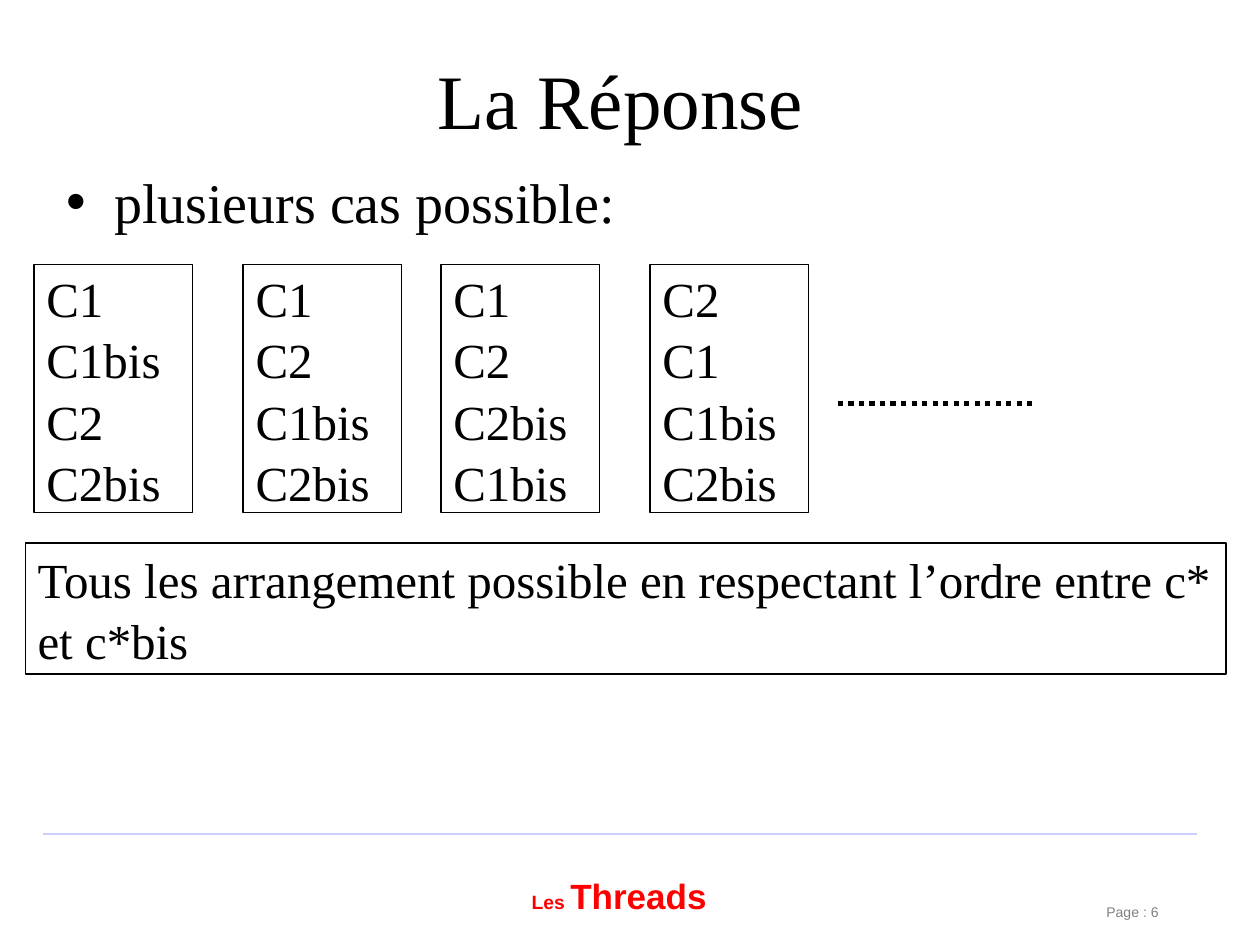
from pptx import Presentation
from pptx import util as u
from pptx.dml.color import RGBColor
from pptx.enum import dml, shapes, text
from pptx.oxml.ns import qn
from lxml import etree

BLACK = RGBColor(0, 0, 0)
RED = RGBColor(255, 0, 0)
GREY = RGBColor(128, 128, 128)
LILAC = RGBColor(0xCC, 0xCC, 0xFF)
SERIF, SANS = "Times New Roman", "Arial"


class Deck:
    def __init__(self):
        self.prs = Presentation()
        self.prs.slide_width, self.prs.slide_height = u.Inches(10), u.Inches(7.5)
        self.slide = self.prs.slides.add_slide(self.prs.slide_layouts[1])

    def place(self, shape, at):
        names = ("left", "top", "width", "height")
        for name, size in zip(names, at):
            setattr(shape, name, u.Inches(size))

    def frame(self, shape, **extra):
        form = dict(word_wrap=True, auto_size=text.MSO_AUTO_SIZE.NONE,
                    margin_left=u.Inches(0.1), margin_right=u.Inches(0.1),
                    margin_top=u.Inches(0.05), margin_bottom=u.Inches(0.05))
        form.update(extra)
        for name, value in form.items():
            setattr(shape.text_frame, name, value)
        return shape.text_frame

    def run(self, para, words, size, color=BLACK, face=SERIF, bold=False):
        run = para.add_run()
        run.text = words
        for name, value in dict(size=u.Pt(size), name=face, bold=bold).items():
            setattr(run.font, name, value)
        run.font.color.rgb = color

    def holder(self, index, at, words, size, inset, align):
        shape = self.slide.placeholders[index]
        self.place(shape, at)
        frame = self.frame(shape, margin_top=u.Inches(inset),
                           vertical_anchor=text.MSO_ANCHOR.TOP)
        para = frame.paragraphs[0]
        para.alignment, para.space_before = align, u.Pt(0)
        self.run(para, words, size)

    def box(self, at, rows):
        shape = self.slide.shapes.add_shape(
            shapes.MSO_SHAPE.RECTANGLE, *map(u.Inches, at))
        shape.shadow.inherit = False
        shape.fill.background()
        shape.line.color.rgb, shape.line.width = BLACK, u.Pt(0.75)
        frame = self.frame(shape, vertical_anchor=text.MSO_ANCHOR.MIDDLE)
        for i, row in enumerate(rows):
            para = frame.add_paragraph() if i else frame.paragraphs[0]
            para.alignment, para.line_spacing = text.PP_ALIGN.LEFT, 1.04
            self.run(para, row, 28)

    def label(self, at, parts, wrap=True, **font):
        """Write one line made of (words, size) parts."""
        shape = self.slide.shapes.add_textbox(*map(u.Inches, at))
        frame = self.frame(shape, word_wrap=wrap, margin_left=u.Inches(0.09),
                           margin_right=u.Inches(0.09))
        for words, size in parts:
            self.run(frame.paragraphs[0], words, size, face=SANS, **font)

    def rule(self, left, right, y, color, width, dash=None):
        line = self.slide.shapes.add_connector(
            shapes.MSO_CONNECTOR.STRAIGHT, *map(u.Inches, (left, y, right, y)))
        line.line.color.rgb, line.line.width = color, u.Pt(width)
        if dash:
            line.line.dash_style = dash
        etree.SubElement(line._element.spPr, qn("a:effectLst"))


def main():
    deck = Deck()
    deck.rule(0.34, 9.5, 6.62, LILAC, 1)
    deck.label((8.69, 7.12, 0.81, 0.22), [("Page : 6", 8)], color=GREY)
    deck.label((4.13, 6.89, 1.57, 0.42), [("Les ", 11), ("Threads", 20)],
               wrap=False, color=RED, bold=True)

    deck.holder(0, (0.5, 0.3, 9, 1.25), "La Réponse ", 44, 0.12,
                text.PP_ALIGN.CENTER)
    deck.holder(1, (0.43, 1.23, 9, 5.35), "plusieurs cas possible:", 32, 0.1,
                text.PP_ALIGN.LEFT)

    cases = {0.27: "C1 C1bis C2 C2bis", 1.93: "C1 C2 C1bis C2bis",
             3.5: "C1 C2 C2bis C1bis", 5.16: "C2 C1 C1bis C2bis"}
    for left, order in cases.items():
        deck.box((left, 2.1, 1.26, 1.97), order.split())
    deck.rule(6.65, 8.23, 3.2, BLACK, 3, dml.MSO_LINE.ROUND_DOT)
    deck.box((0.2, 4.31, 9.53, 1.04),
             ["Tous les arrangement possible en respectant "
              "l’ordre entre c* et c*bis"])
    deck.prs.save("out.pptx")


if __name__ == "__main__":
    main()
